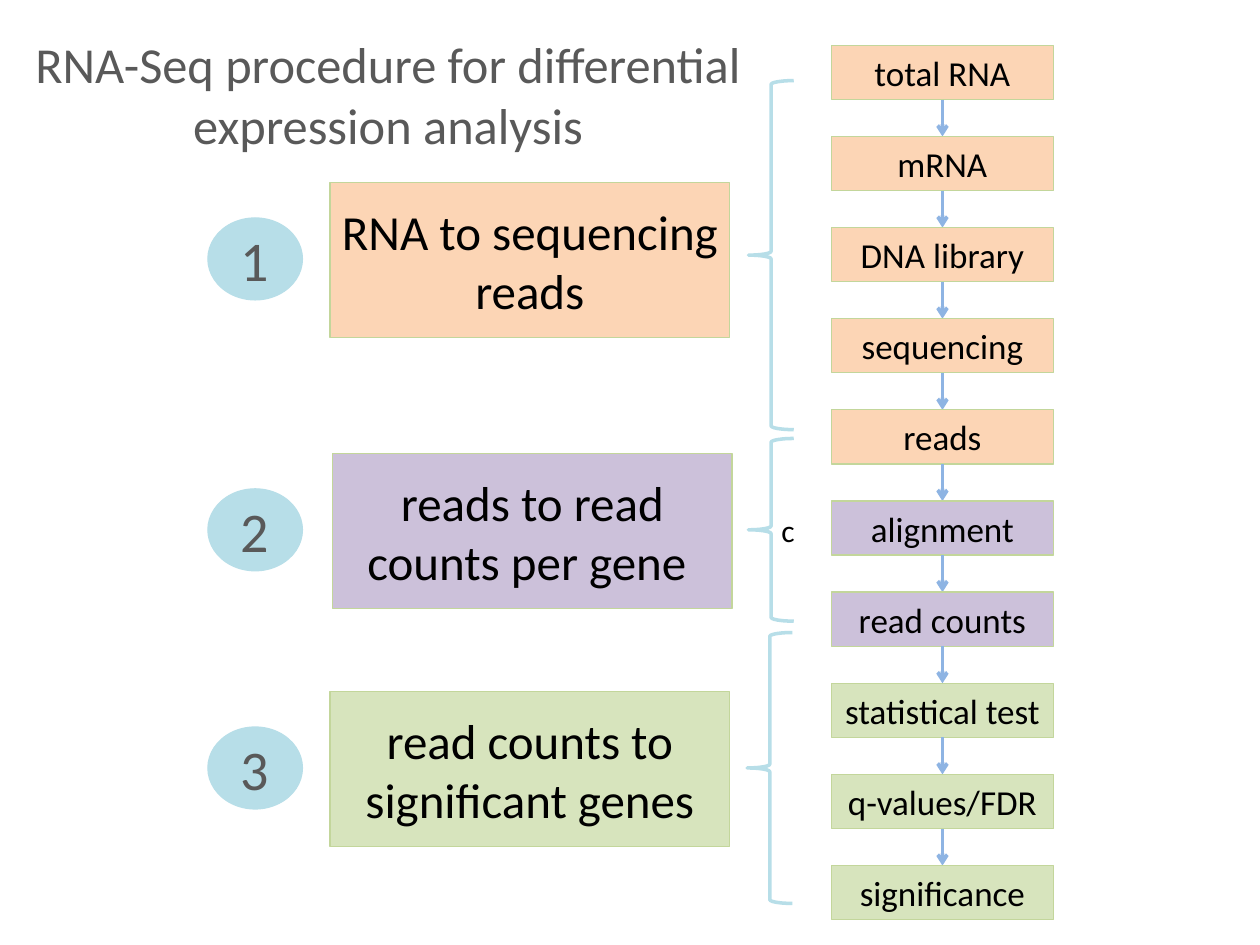
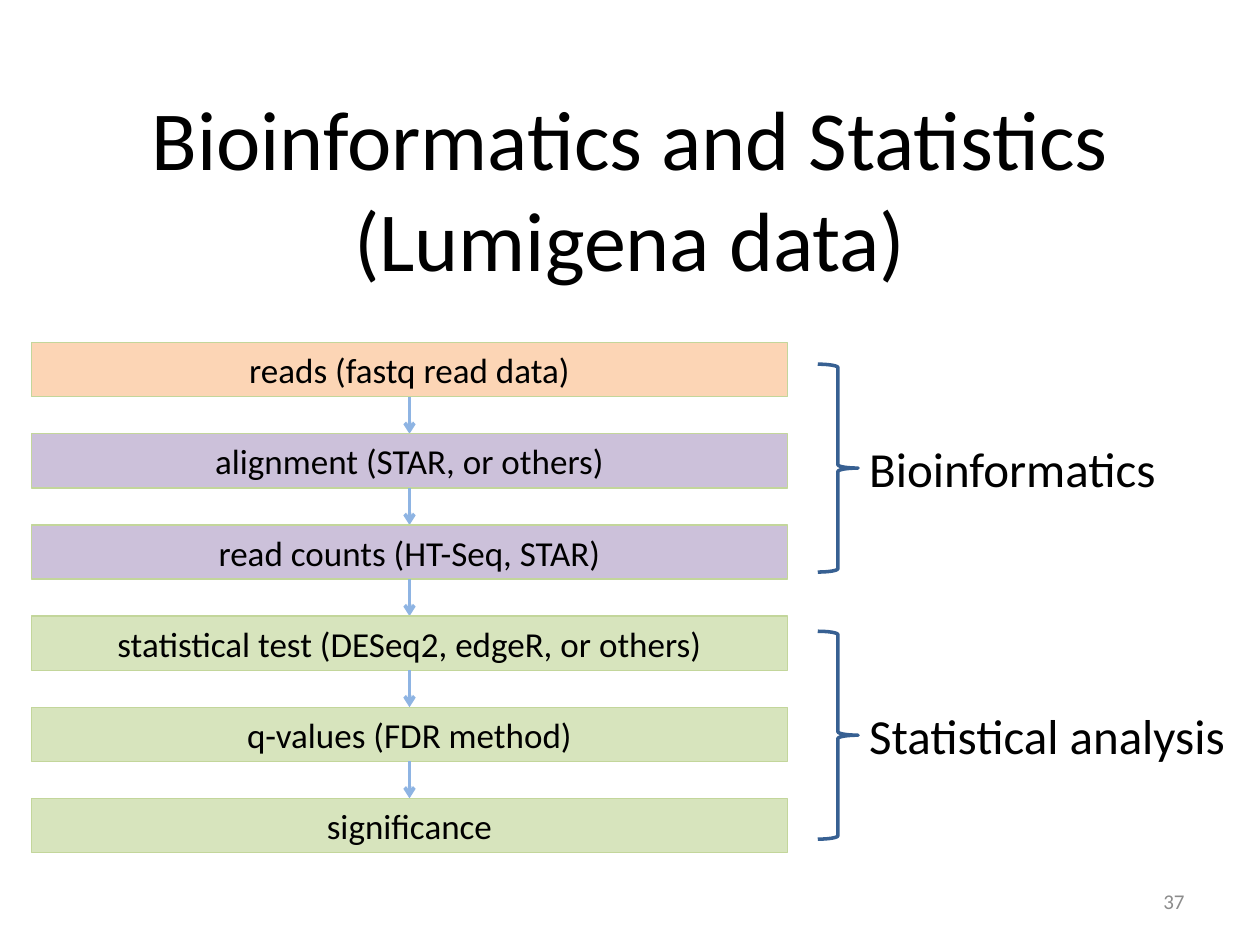
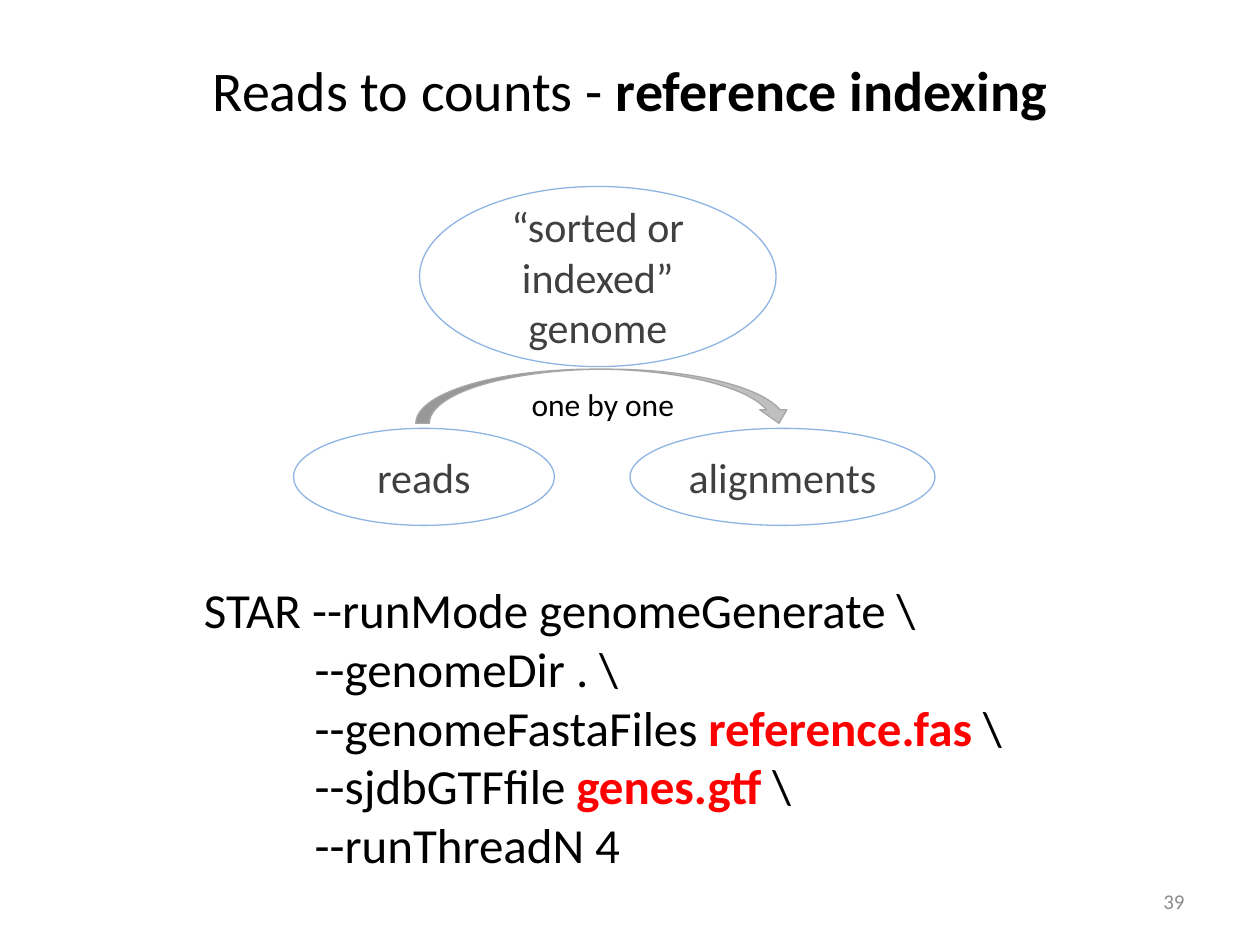
from dataclasses import dataclass

from lxml import etree
from pptx import Presentation
from pptx import util as u
from pptx.dml.color import RGBColor
from pptx.enum import shapes, text
from pptx.oxml import ns

PX = u.Inches(10) // 1000


@dataclass(frozen=True)
class Theme:
    font: str = "Calibri"
    ink: str = "000000"
    soft_ink: str = "404040"
    muted: str = "595959"
    number: str = "8C8C8C"
    accent: str = "FF0000"
    lab: str = "FCD5B5"
    counting: str = "CCC1DA"
    statistics: str = "D7E4BD"
    edge: str = "C3D69B"
    arrow: str = "8EB4E3"
    sky: str = "B7DEE8"
    navy: str = "376092"
    curve: str = "BFBFBF"
    curve_edge: str = "A6A6A6"
    opening_title: float = 28.8
    big_title: int = 48
    title: int = 32
    large: int = 28
    oval: int = 24
    step: int = 20
    label: int = 18
    footer: int = 12
    thin: float = 0.75
    thick: int = 2


theme = Theme()
SHAPE = shapes.MSO_SHAPE
LEFT, CENTER, RIGHT = text.PP_ALIGN.LEFT, text.PP_ALIGN.CENTER, text.PP_ALIGN.RIGHT
MIDDLE, TOP = text.MSO_ANCHOR.MIDDLE, text.MSO_ANCHOR.TOP
STEP_HEIGHT, STEP_PITCH = 43, 72.33


def put(page, kind, at, words="", *, size=theme.label, color=theme.ink, align=CENTER,
        anchor=MIDDLE, wrap=True, inset=True, fill=None, line=None, weight=theme.thin,
        accent=None):
    place = [int(length * PX) for length in at]
    if kind == "title":
        box = page.shapes.title
        box.left, box.top, box.width, box.height = place
    elif kind == "text":
        box = page.shapes.add_textbox(*place)
    else:
        box = page.shapes.add_shape(kind, *place)
        box.shadow.inherit = False
        if fill:
            box.fill.solid()
            box.fill.fore_color.rgb = RGBColor.from_string(fill)
        else:
            box.fill.background()
        box.line.color.rgb = RGBColor.from_string(line)
        box.line.width = u.Pt(weight)
    if not words:
        return
    frame = box.text_frame
    frame.auto_size = text.MSO_AUTO_SIZE.NONE
    frame.word_wrap = wrap
    frame.vertical_anchor = anchor
    if not inset:
        frame.margin_left = frame.margin_right = frame.margin_top = frame.margin_bottom = 0
    for row, sentence in enumerate(words.split("\n")):
        para = frame.add_paragraph() if row else frame.paragraphs[0]
        para.alignment = align
        for part, piece in enumerate(sentence.split("|")):
            if not piece:
                continue
            strong = part % 2 == 1
            span = para.add_run()
            span.text = piece
            span.font.name = theme.font
            span.font.size = u.Pt(size)
            span.font.bold = strong
            span.font.color.rgb = RGBColor.from_string(accent if strong and accent else color)


def flow(page, left, top, width, steps):
    for row, (words, fill) in enumerate(steps):
        y = top + row * STEP_PITCH
        put(page, SHAPE.RECTANGLE, (left, y, width, STEP_HEIGHT), words,
            size=theme.step, inset=False, fill=fill, line=theme.edge)
        if row == len(steps) - 1:
            break
        x = int((left + width / 2) * PX)
        arrow = page.shapes.add_connector(
            shapes.MSO_CONNECTOR.STRAIGHT, x, int((y + STEP_HEIGHT) * PX),
            x, int((y + STEP_PITCH) * PX))
        arrow.line.color.rgb = RGBColor.from_string(theme.arrow)
        arrow.line.width = u.Pt(theme.thick)
        etree.SubElement(arrow.line._get_or_add_ln(), ns.qn("a:tailEnd"), type="arrow")
        etree.SubElement(arrow._element.spPr, ns.qn("a:effectLst"))


deck = Presentation()
deck.slide_width, deck.slide_height = 1000 * PX, 750 * PX
overview, analysis, indexing = [deck.slides.add_slide(deck.slide_layouts[5]) for _ in range(3)]

put(overview, "title", (12, 17, 592, 115),
    "RNA-Seq procedure for differential expression analysis",
    size=theme.opening_title, color=theme.muted)
flow(overview, 660, 36, 176, [
    ("total RNA", theme.lab),
    ("mRNA", theme.lab),
    ("DNA library", theme.lab),
    ("sequencing", theme.lab),
    ("reads", theme.lab),
    ("alignment", theme.counting),
    ("read counts", theme.counting),
    ("statistical test", theme.statistics),
    ("q-values/FDR", theme.statistics),
    ("significance", theme.statistics),
])
stages = [
    ("RNA to sequencing reads", theme.lab, 262, 145, (594, 64, 36, 277), ""),
    ("reads to read counts per gene ", theme.counting, 264, 360, (594, 348, 36, 145), "c"),
    ("read counts to significant genes", theme.statistics, 262, 549, (593, 502, 36, 215), ""),
]
for number, (words, fill, left, top, brace, mark) in enumerate(stages, 1):
    put(overview, SHAPE.RECTANGLE, (left, top, 317, 123), words,
        size=theme.large, inset=False, fill=fill, line=theme.edge)
    put(overview, SHAPE.LEFT_BRACE, brace, mark, line=theme.sky, weight=theme.thick)
    put(overview, SHAPE.OVAL, (165, top + 28, 75, 65), str(number),
        size=theme.title, color=theme.muted, inset=False, fill=theme.sky, line=theme.sky)

put(analysis, "title", (50, 61, 900, 176),
    "Bioinformatics and Statistics (Lumigena data)", size=theme.big_title)
flow(analysis, 25, 272, 600, [
    ("reads (fastq read data)", theme.lab),
    ("alignment (STAR, or others)", theme.counting),
    ("read counts (HT-Seq, STAR)", theme.counting),
    ("statistical test (DESeq2, edgeR, or others)", theme.statistics),
    ("q-values (FDR method)", theme.statistics),
    ("significance", theme.statistics),
])
for words, top, width in [("Bioinformatics", 289, 251), ("Statistical analysis", 501, 307)]:
    put(analysis, SHAPE.RIGHT_BRACE, (649, top, 32, 165), line=theme.navy, weight=theme.thick)
    put(analysis, "text", (680, top + 54, width, 57), words,
        size=theme.large, align=LEFT, anchor=TOP, wrap=False)

put(indexing, "title", (50, 30, 900, 81), "Reads to counts - |reference indexing",
    size=theme.title)
command = r"""STAR --runMode genomeGenerate \
          --genomeDir . \
          --genomeFastaFiles |reference.fas| \
          --sjdbGTFfile |genes.gtf| \
          --runThreadN 4"""
put(indexing, "text", (152, 455, 688, 246), command,
    size=theme.large, align=LEFT, anchor=TOP, accent=theme.accent)
for words, at in [
    ("“sorted or indexed” genome", (333, 148, 283, 143)),
    ("reads", (233, 340, 207, 77)),
    ("alignments", (500, 340, 242, 77)),
]:
    put(indexing, SHAPE.OVAL, at, words,
        size=theme.oval, color=theme.soft_ink, line=theme.arrow)
put(indexing, SHAPE.CURVED_DOWN_ARROW, (330, 293, 299, 43),
    fill=theme.curve, line=theme.curve_edge)
put(indexing, "text", (412, 301, 135, 40), "one by one", align=LEFT, anchor=TOP, wrap=False)

for page, number in [(analysis, "37"), (indexing, "39")]:
    put(page, "text", (717, 695, 233, 40), number,
        size=theme.footer, color=theme.number, align=RIGHT)

deck.save("out.pptx")
